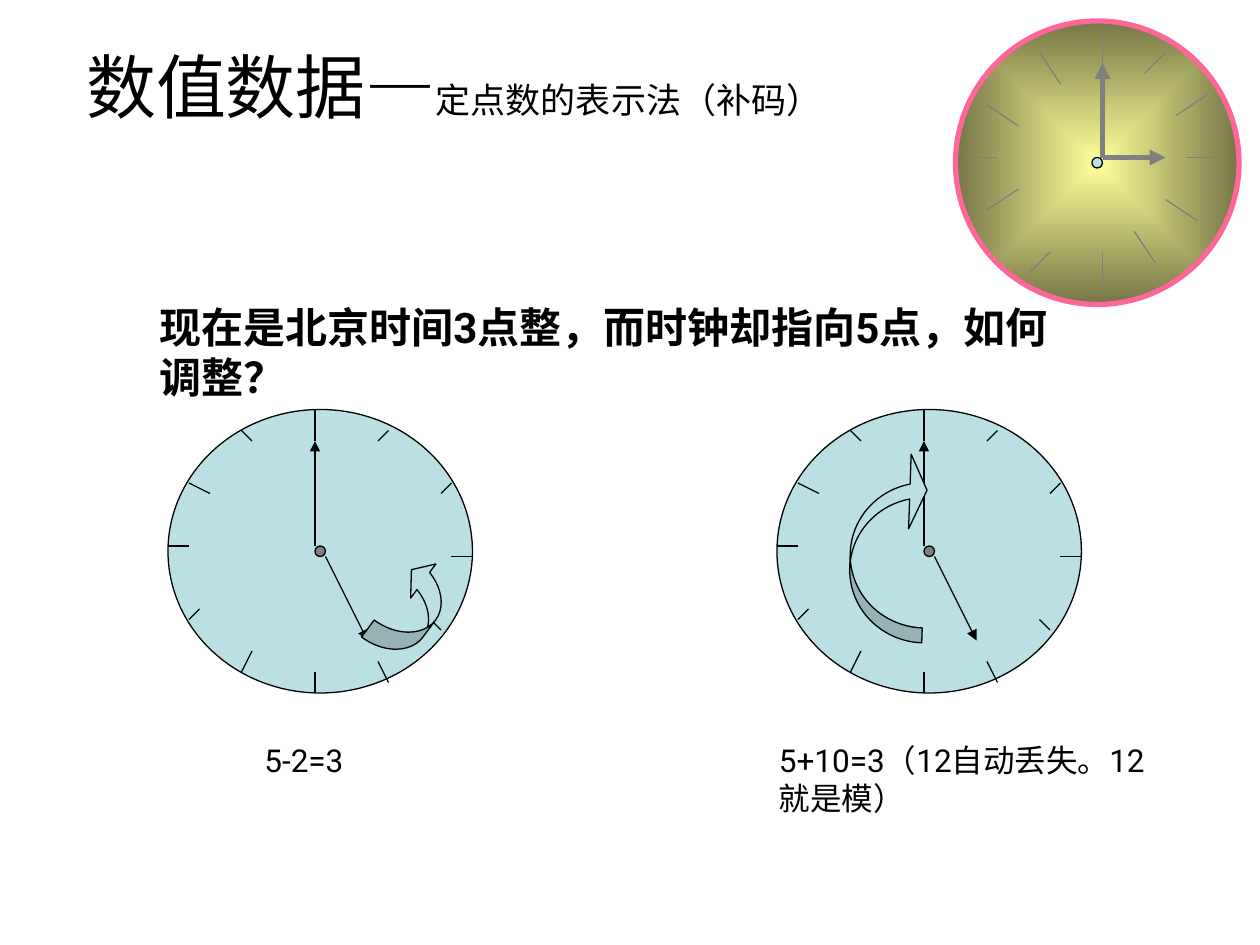
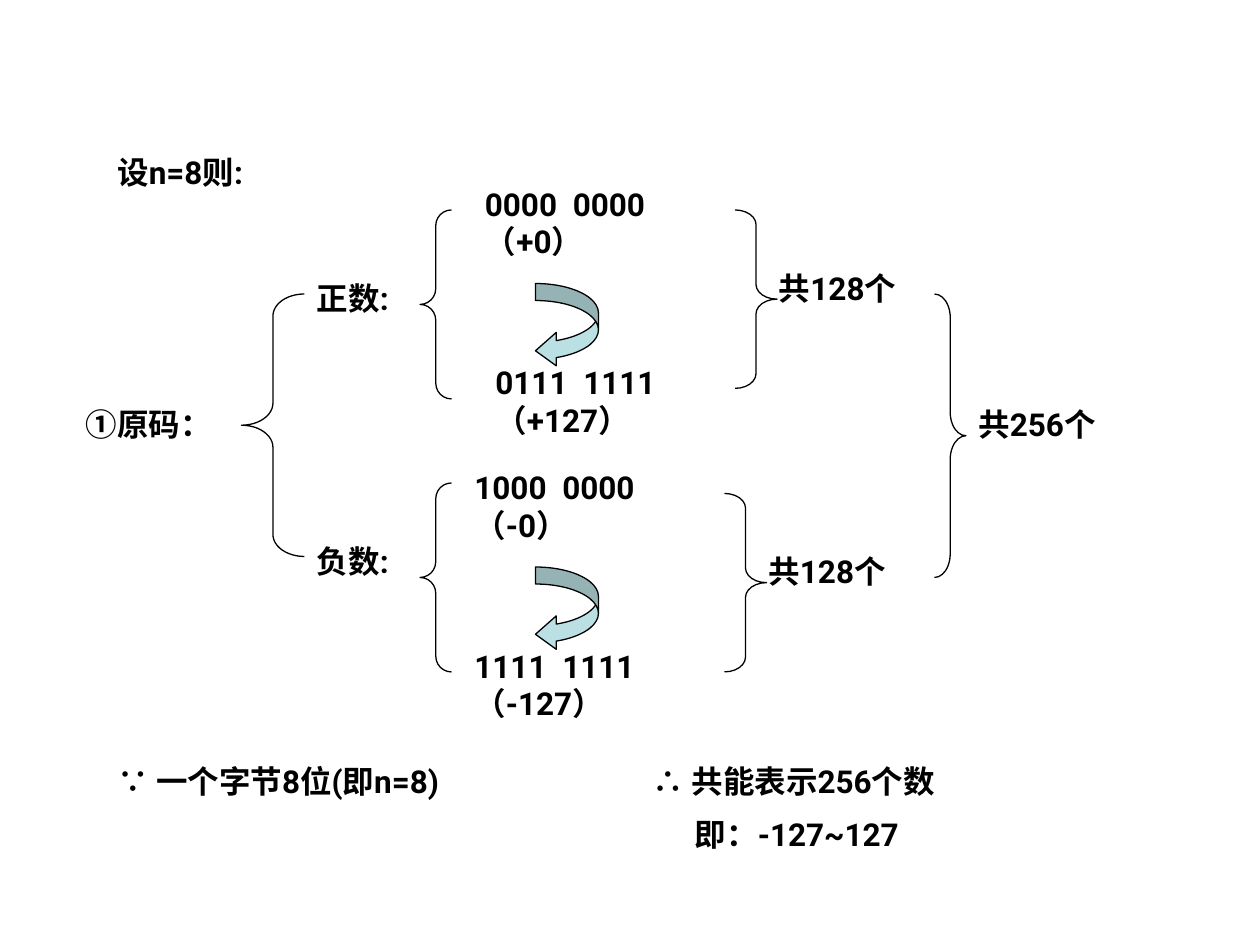
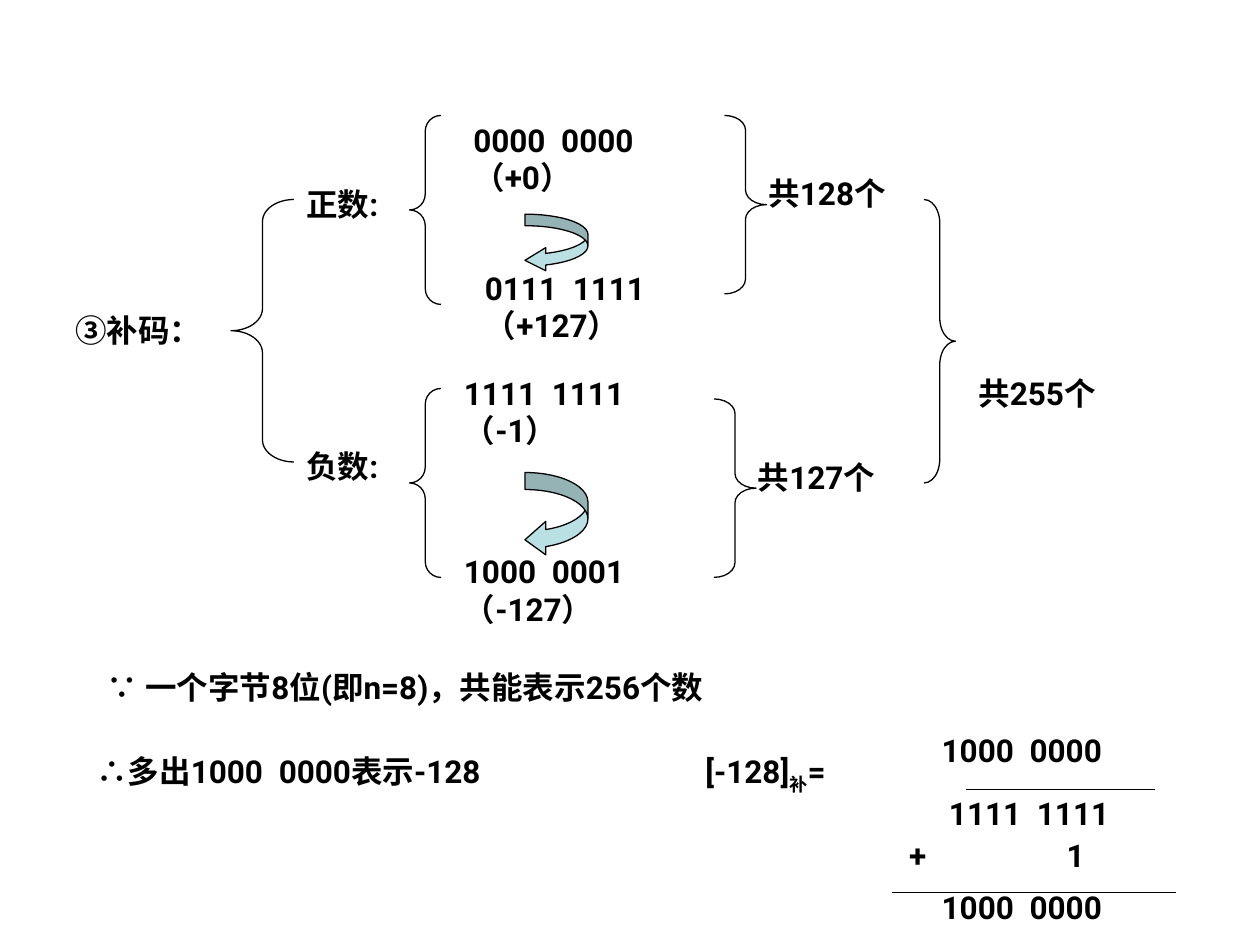
from dataclasses import dataclass
from typing import Any, NamedTuple

from lxml import etree
from pptx import Presentation, util as u
from pptx.dml.color import RGBColor
from pptx.enum import shapes as es, text as et
from pptx.oxml import ns

# Shared look
PX = 7620  # 120 px to the inch
BLACK = RGBColor(0x00, 0x00, 0x00)
GRAY = RGBColor(0x80, 0x80, 0x80)
TEAL = RGBColor(0xBB, 0xE0, 0xE3)
PINK = RGBColor(0xFF, 0x66, 0x99)
YELLOW = RGBColor(0xFF, 0xFF, 0x99)
OLIVE = RGBColor(0x76, 0x76, 0x47)
HAN, LATIN, HEAD = "Noto Sans CJK SC", "Roboto", "Arial"
KIND = es.MSO_SHAPE
TOP = {"word_wrap": True, "auto_size": et.MSO_AUTO_SIZE.SHAPE_TO_FIT_TEXT,
       "vertical_anchor": et.MSO_ANCHOR.TOP}
MIDDLE = {"word_wrap": True, "auto_size": et.MSO_AUTO_SIZE.NONE,
          "vertical_anchor": et.MSO_ANCHOR.MIDDLE}


class Box(NamedTuple):
    x: int
    y: int
    w: int
    h: int

    def move(self, dx: int, dy: int) -> "Box":
        return Box(self.x + dx, self.y + dy, self.w, self.h)

    def emu(self) -> list[int]:
        return [v * PX for v in self]


class Seg(NamedTuple):
    x1: int
    y1: int
    x2: int
    y2: int


class Run(NamedTuple):
    text: str
    font: str = LATIN
    size: int = 18
    bold: bool = True
    base: int = 0


@dataclass
class Clock:
    face: Box
    hub: Box
    ticks: list[Seg]
    hands: list[Seg]
    color: RGBColor = BLACK
    width: float = 0.75
    gold: bool = False


@dataclass
class Half:
    """One branch of a code tree: sign, first and last code, count."""
    sign: str
    first: str
    last: str
    count: str
    boxes: list[Box]


# Helpers
def put(obj: Any, fmt: dict[str, Any]) -> None:
    for key, val in fmt.items():
        setattr(obj, key, val)


def sub(node: Any, tag: str, **attrs: str) -> Any:
    return etree.SubElement(node, ns.qn(tag), attrs)


def fill_text(frame: Any, runs: list[Run], fmt: dict[str, Any]) -> None:
    put(frame, fmt)
    para = frame.paragraphs[0]
    put(para, {"alignment": et.PP_ALIGN.LEFT, "space_before": u.Pt(0)})
    for item in runs:
        for i, part in enumerate(item.text.split("\v")):
            if i:
                para.add_line_break()
            run = para.add_run()
            run.text = part
            put(run.font, {"name": item.font, "size": u.Pt(item.size),
                           "bold": item.bold})
            run.font.color.rgb = BLACK
            props = run.font._element
            sub(props, "a:ea", typeface=HAN)
            if item.base:
                props.set("baseline", str(item.base * 1000))


def label(slide: Any, box: Box, *runs: Run | str, tab: int = 0) -> None:
    frame = slide.shapes.add_textbox(*box.emu()).text_frame
    if tab:
        stops = sub(frame.paragraphs[0]._p.get_or_add_pPr(), "a:tabLst")
        sub(stops, "a:tab", pos=str(tab * PX), algn="l")
    fill_text(frame, [Run(r) if isinstance(r, str) else r for r in runs], TOP)


def shape(parent: Any, kind: Any, box: Box, fill: RGBColor | None = None,
          adj: tuple[float, ...] = (), turn: float = 0) -> Any:
    form = parent.shapes.add_shape(kind, *box.emu())
    form.shadow.inherit = False
    form.rotation = turn
    for i, val in enumerate(adj):
        form.adjustments[i] = val
    if fill is None:
        form.fill.background()
    else:
        form.fill.solid()
        form.fill.fore_color.rgb = fill
    form.line.color.rgb = BLACK
    form.line.width = u.Pt(0.75)
    return form


def line(parent: Any, seg: Seg, color: RGBColor = BLACK, width: float = 0.75,
         arrow: bool = False) -> None:
    link = parent.shapes.add_connector(es.MSO_CONNECTOR.STRAIGHT,
                                       *[v * PX for v in seg])
    link.line.color.rgb = color
    link.line.width = u.Pt(width)
    if arrow:
        sub(link.line._get_or_add_ln(), "a:tailEnd", type="triangle")
    sub(link._element.spPr, "a:effectLst")


def gild(face: Any) -> None:
    """Gradient that spreads from the middle, with a pink rim."""
    face.fill.gradient()
    for stop, color in zip(face.fill.gradient_stops, (YELLOW, OLIVE)):
        stop.color.rgb = color
    grad = face._element.spPr.find(ns.qn("a:gradFill"))
    grad.remove(grad.find(ns.qn("a:lin")))
    way = sub(grad, "a:path", path="shape")
    sub(way, "a:fillToRect", **dict.fromkeys("ltrb", "50000"))
    face.line.color.rgb = PINK
    face.line.width = u.Pt(3)


def clock(slide: Any, spec: Clock) -> None:
    """Ticks, hands and hub lie on a 10 px grid from the face's corner."""
    x, y = spec.face[:2]

    def place(seg: Seg) -> Seg:
        a, b, c, d = (10 * v for v in seg)
        return Seg(x + a, y + b, x + c, y + d)

    group = slide.shapes.add_group_shape()
    face = shape(group, KIND.OVAL, spec.face, TEAL)
    if spec.gold:
        gild(face)
    for tick in spec.ticks:
        line(group, place(tick), spec.color)
    for hand in spec.hands:
        line(group, place(hand), spec.color, spec.width, arrow=True)
    kind = KIND.FLOWCHART_CONNECTOR if spec.gold else KIND.OVAL
    shape(group, kind, spec.hub.move(x, y), TEAL if spec.gold else GRAY)


# Clock faces
BLUE_TICKS = [Seg(*t) for t in (
    (14, 0, 14, 3), (14, 25, 14, 27), (0, 13, 2, 13), (29, 14, 27, 14),
    (21, 2, 20, 3), (27, 7, 26, 8), (7, 2, 8, 3), (2, 7, 4, 8),
    (2, 20, 3, 19), (7, 25, 8, 23), (25, 20, 26, 21), (20, 24, 21, 26))]
GOLD_TICKS = [Seg(*t) for t in (
    (14, 1, 14, 4), (14, 22, 14, 25), (1, 13, 4, 13), (22, 13, 25, 13),
    (8, 3, 10, 6), (17, 20, 19, 23), (3, 8, 6, 10), (20, 17, 23, 19),
    (20, 3, 18, 5), (9, 22, 7, 24), (3, 18, 6, 16), (21, 9, 24, 7))]
FIVE = [Seg(14, 13, 14, 3), Seg(15, 14, 19, 22)]
THREE = [Seg(14, 13, 20, 13), Seg(14, 13, 14, 4)]

# Branch boxes: sign, brace, first, arrow, last, brace, count
UPPER = [Box(290, 260, 120, 60), Box(400, 200, 30, 180),
         Box(450, 170, 290, 108), Box(510, 270, 60, 80),
         Box(460, 340, 290, 108), Box(700, 200, 40, 170),
         Box(730, 250, 260, 60)]
LOWER = [Box(290, 510, 120, 60), Box(400, 460, 30, 180),
         Box(440, 440, 260, 108), Box(510, 540, 60, 80),
         Box(440, 610, 270, 108), Box(690, 470, 40, 170),
         Box(720, 520, 260, 60)]
BEND = (0.27, 0.53, 0.33)
FLAT = (0.2, 0.4, 0.36)


def branch(slide: Any, half: Half, dx: int, dy: int) -> None:
    sign, left, first, turn, last, right, count = (
        b.move(dx, dy) for b in half.boxes)
    label(slide, sign, half.sign)
    shape(slide, KIND.LEFT_BRACE, left, adj=(0.5, 0.5))
    label(slide, first, half.first)
    shape(slide, KIND.CURVED_LEFT_ARROW, turn, TEAL,
          BEND if turn.h == 80 else FLAT)
    label(slide, last, half.last)
    shape(slide, KIND.RIGHT_BRACE, right, adj=(0.35, 0.5))
    label(slide, count, half.count)


def tree(slide: Any, name: list[Run], halves: list[Half], total: str,
         end: Box, dx: int = 0, dy: int = 0) -> None:
    label(slide, Box(70, 380, 190, 60).move(dx, dy), *name)
    shape(slide, KIND.LEFT_BRACE, Box(230, 280, 60, 250).move(dx, dy),
          adj=(0.35, 0.5))
    for half in halves:
        branch(slide, half, dx, dy)
    shape(slide, KIND.RIGHT_BRACE, Box(890, 280, 30, 270).move(dx, dy),
          adj=(0.75, 0.5))
    label(slide, end, total)


# Slides
def clocks(deck: Any) -> None:
    slide = deck.slides.add_slide(deck.slide_layouts[5])
    title = slide.shapes.title
    put(title, dict(zip(("left", "top", "width", "height"),
                        Box(70, 26, 840, 110).emu())))
    fill_text(title.text_frame,
              [Run("数值数据—", HEAD, 40, False),
               Run("定点数的表示法（补码）", HEAD, 20, False)], MIDDLE)
    for x in (160, 740):
        clock(slide, Clock(Box(x, 390, 290, 270), Box(140, 130, 10, 10),
                           BLUE_TICKS, FIVE))
    shape(slide, KIND.CURVED_UP_ARROW, Box(343, 557, 100, 47), TEAL,
          (0.43, 0.86, 0.33), 306.5)
    shape(slide, KIND.CURVED_LEFT_ARROW, Box(810, 430, 71, 181), TEAL,
          (0.2, 1, 0.23), 182)
    label(slide, Box(140, 281, 900, 109),
          Run("现在是北京时间3点整，而时钟却指向5点，如何调整？", size=24))
    label(slide, Box(240, 700, 150, 60), Run("5-2=3", bold=False))
    label(slide, Box(730, 700, 380, 108),
          Run("5+10=3（12自动丢失。12就是模）", bold=False))
    clock(slide, Clock(Box(910, 20, 270, 270), Box(130, 130, 10, 10),
                       GOLD_TICKS, THREE, GRAY, 3, True))


def signed(deck: Any) -> None:
    slide = deck.slides.add_slide(deck.slide_layouts[6])
    label(slide, Box(100, 140, 290, 60), "设n=8则:")
    tree(slide, [Run("①", HAN), Run("原码：")],
         [Half("正数:", "0000  0000\v（+0）", "0111  1111\v（+127）",
               "共128个", UPPER),
          Half("负数:", "1000  0000\v（-0）", "1111  1111\v（-127）",
               "共128个", LOWER)],
         "共256个", Box(920, 380, 240, 60))
    label(slide, Box(100, 720, 510, 60), Run("∵ ", HAN), "一个字节8位(即n=8)")
    label(slide, Box(610, 720, 460, 60), Run("∴ ", HAN), "共能表示256个数")
    label(slide, Box(650, 770, 430, 60), "即：-127~127")


def twos(deck: Any) -> None:
    slide = deck.slides.add_slide(deck.slide_layouts[6])
    upper = UPPER.copy()
    upper[2] = Box(449, 199, 290, 108)
    upper[3] = Box(510, 294, 60, 55)
    tree(slide, [Run("③补", HAN), Run("码：")],
         [Half("正数:", "0000  0000\v（+0）", "0111  1111\v（+127）",
               "共128个", upper),
          Half("负数:", "1111  1111\v（-1）", "1000  0001\v（-127）",
               "共127个", LOWER)],
         "共255个", Box(920, 350, 240, 60), -10, -90)
    label(slide, Box(90, 630, 960, 60), Run("∵ ", HAN),
          "一个字节8位(即n=8)，共能表示256个数")
    label(slide, Box(80, 710, 550, 60), Run("∴", HAN),
          "多出1000  0000表示-128")
    label(slide, Box(660, 710, 260, 60), "[-128]", Run("补", base=-25), "=")
    # Sum in columns
    label(slide, Box(885, 690, 265, 60), "1000  0000")
    line(slide, Seg(920, 752, 1100, 752))
    label(slide, Box(892, 750, 266, 60), "1111  1111")
    label(slide, Box(854, 790, 296, 48), "+\t1", tab=150)
    line(slide, Seg(850, 850, 1120, 850))
    label(slide, Box(885, 840, 265, 60), "1000  0000")


def main() -> None:
    deck = Presentation()
    put(deck, {"slide_width": 1200 * PX, "slide_height": 900 * PX})
    for build in (clocks, signed, twos):
        build(deck)
    deck.save("out.pptx")


if __name__ == "__main__":
    main()
